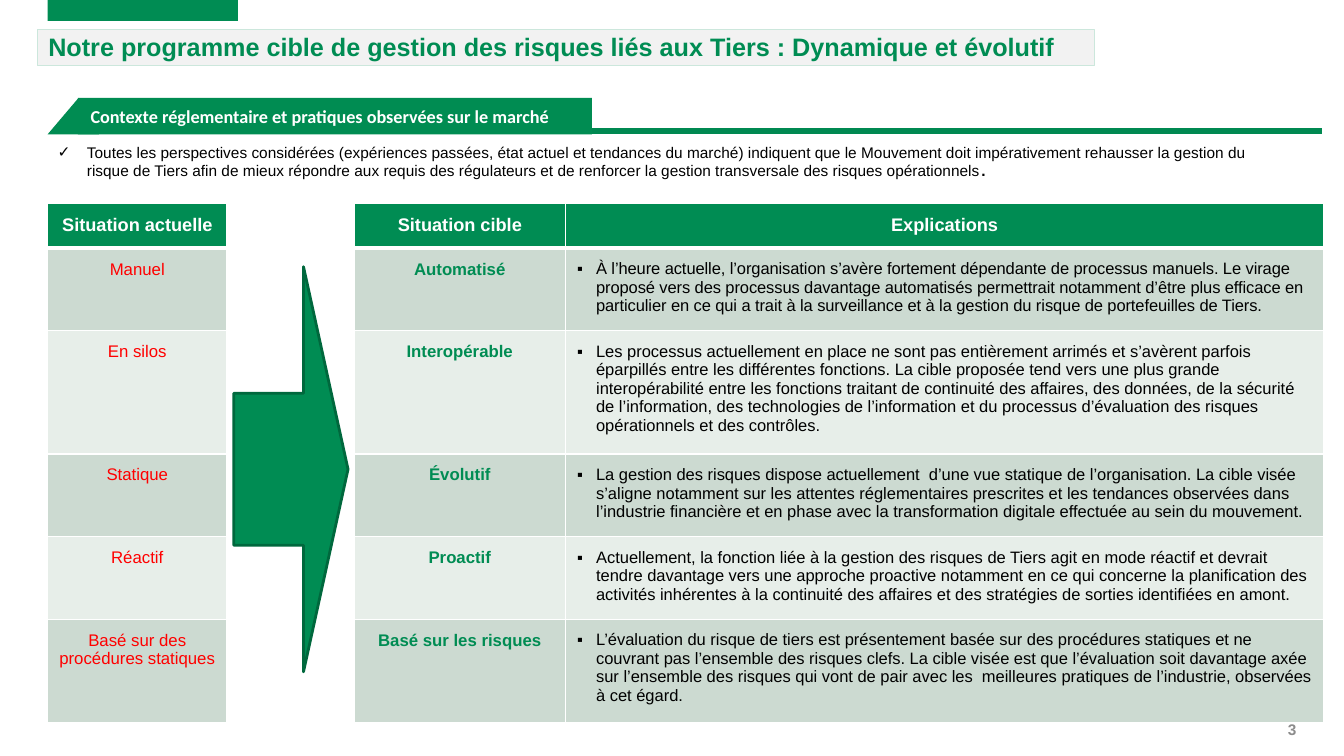
from pptx import Presentation
from pptx.dml.color import RGBColor as Rgb
from pptx.enum.shapes import MSO_CONNECTOR as Link, MSO_SHAPE as Form
from pptx.enum.text import MSO_ANCHOR as Anchor, PP_ALIGN as Align
from pptx.oxml import parse_xml
from pptx.oxml.ns import nsdecls
from pptx.util import Pt

HUES = {
    "green": "008C53", "band": "008C52", "rule": "008951", "edge": "00683D",
    "pale": "F2F2F2", "mint": "CCE7DC", "dark": "CCDAD1", "light": "E7EEE9",
    "red": "FF0000", "gray": "8C8C8C", "black": "000000", "white": "FFFFFF",
}
SIDES = ("L", "R", "T", "B")
INSETS = ("margin_left", "margin_right", "margin_top", "margin_bottom")

HEADS = ("Situation actuelle", "", "Situation cible", "Explications")
ROWS = (
    ("Manuel", "Automatisé",
     "À l’heure actuelle, l’organisation s’avère fortement dépendante de processus manuels. "
     "Le virage proposé vers des processus davantage automatisés permettrait notamment d’être "
     "plus efficace en particulier en ce qui a trait à la surveillance et à la gestion du "
     "risque de portefeuilles de Tiers."),
    ("En silos", "Interopérable",
     "Les processus actuellement en place ne sont pas entièrement arrimés et s’avèrent parfois "
     "éparpillés entre les différentes fonctions. La cible proposée tend vers une plus grande "
     "interopérabilité entre les fonctions traitant de continuité des affaires, des données, "
     "de la sécurité de l’information, des technologies de l’information et du processus "
     "d’évaluation des risques opérationnels et des contrôles."),
    ("Statique", "Évolutif",
     "La gestion des risques dispose actuellement  d’une vue statique de l’organisation. La "
     "cible visée s’aligne notamment sur les attentes réglementaires prescrites et les "
     "tendances observées dans l’industrie financière et en phase avec la transformation "
     "digitale effectuée au sein du mouvement."),
    ("Réactif", "Proactif",
     "Actuellement, la fonction liée à la gestion des risques de Tiers agit en mode réactif et "
     "devrait tendre davantage vers une approche proactive notamment en ce qui concerne la "
     "planification des activités inhérentes à la continuité des affaires et des stratégies "
     "de sorties identifiées en amont."),
    ("Basé sur des procédures statiques", "Basé sur les risques",
     "L’évaluation du risque de tiers est présentement basée sur des procédures statiques et "
     "ne couvrant pas l’ensemble des risques clefs. La cible visée est que l’évaluation soit "
     "davantage axée sur l’ensemble des risques qui vont de pair avec les  meilleures "
     "pratiques de l’industrie, observées à cet égard."),
)
CONTEXT = (
    "Toutes les perspectives considérées (expériences passées, état actuel et tendances du "
    "marché) indiquent que le Mouvement doit impérativement rehausser la gestion du risque de "
    "Tiers afin de mieux répondre aux requis des régulateurs et de renforcer la gestion "
    "transversale des risques opérationnels"
)


class Sheet:
    def __init__(self, slide):
        self.slide = slide
        self.font = {"name": "Arial", "size": Pt(12), "bold": False}

    def apply(self, item, values):
        for name, value in values.items():
            setattr(item, name, value)

    def paint(self, item, hue):
        item.fill.solid()
        item.fill.fore_color.rgb = Rgb.from_string(HUES[hue])

    def stroke(self, line, hue, width):
        line.color.rgb = Rgb.from_string(HUES[hue])
        line.width = Pt(width)

    def run(self, para, text, hue, **look):
        run = para.add_run()
        run.text = text
        self.apply(run.font, {**self.font, **look})
        run.font.color.rgb = Rgb.from_string(HUES[hue])
        return run

    def bullet(self, para, mark, indent):
        props = para._p.get_or_add_pPr()
        props.set("marL", str(Pt(indent)))
        props.set("indent", str(-Pt(indent)))
        props.append(parse_xml(f'<a:buFont {nsdecls("a")} typeface="Arial"/>'))
        props.append(parse_xml(f'<a:buChar {nsdecls("a")} char="{mark}"/>'))

    def frame(self, item, pads=(0, 0, 0, 0), anchor=Anchor.TOP, **form):
        frame = item.text_frame
        sides = dict(zip(INSETS, map(Pt, pads)))
        self.apply(frame, {"word_wrap": True, "vertical_anchor": anchor, **sides})
        para = frame.paragraphs[0]
        self.apply(para, form)
        return para

    def shape(self, form, box, hue, line=None, tweaks=()):
        item = self.slide.shapes.add_shape(form, *map(Pt, box))
        item.shadow.inherit = False
        self.paint(item, hue)
        if line:
            self.stroke(item.line, *line)
        else:
            item.line.fill.background()
        for spot, value in enumerate(tweaks):
            item.adjustments[spot] = value
        return item

    def text(self, box, **form):
        return self.frame(self.slide.shapes.add_textbox(*map(Pt, box)), **form)

    def rule(self, start, end, hue, width):
        item = self.slide.shapes.add_connector(Link.STRAIGHT, *map(Pt, start + end))
        self.stroke(item.line, hue, width)
        item._element.spPr.append(parse_xml(f'<a:effectLst {nsdecls("a")}/>'))

    def cell(self, cell, hue, base=1):
        props = cell._tc.get_or_add_tcPr()
        for side in SIDES:
            width = Pt(base if side == "B" else 1)
            props.append(parse_xml(
                f'<a:ln{side} {nsdecls("a")} w="{width}"><a:solidFill>'
                f'<a:srgbClr val="{HUES["white"]}"/></a:solidFill></a:ln{side}>'))
        self.paint(cell, hue)
        self.apply(cell, dict.fromkeys(INSETS, Pt(8.3)))
        return cell.text_frame.paragraphs[0]

    def table(self, box, widths, heights):
        shape = self.slide.shapes.add_table(len(heights), len(widths), *map(Pt, box))
        grid = shape.table
        self.apply(grid, {"first_row": False, "horz_banding": False})
        for col, width in zip(grid.columns, widths):
            col.width = Pt(width)
        for row, height in zip(grid.rows, heights):
            row.height = Pt(height)
        for spot, head in enumerate(HEADS):
            para = self.cell(grid.cell(0, spot), "green" if head else "white", 3)
            if head:
                para.alignment = Align.CENTER
                self.run(para, head, "white", size=Pt(13), bold=True)
        for at, (now, goal, why) in enumerate(ROWS, 1):
            hue = "dark" if at % 2 else "light"
            left, gap, mid, right = (
                self.cell(grid.cell(at, spot), hue if head else "white")
                for spot, head in enumerate(HEADS))
            left.alignment = mid.alignment = Align.CENTER
            self.run(left, now, "red")
            self.run(mid, goal, "green", bold=True)
            self.bullet(right, "▪", 13.5)
            note = self.run(right, why, "black", size=Pt(11.8))
            if at == 1:
                note.font._element.set("spc", "-5")
        grid.cell(0, 1).merge(grid.cell(len(ROWS), 1))


def main():
    deck = Presentation()
    deck.slide_width, deck.slide_height = Pt(960), Pt(540)
    sheet = Sheet(deck.slides.add_slide(deck.slide_layouts[6]))

    sheet.shape(Form.RECTANGLE, (34, 0, 136, 15), "green")
    sheet.shape(Form.RECTANGLE, (26.6, 21.3, 755.3, 25.5), "pale", ("mint", 0.5))
    title = sheet.text((34.5, 24.5, 862, 24.5), line_spacing=0.9)
    sheet.run(title, "Notre programme cible de gestion des risques liés aux Tiers : "
              "Dynamique et évolutif", "green", size=Pt(18), bold=True)

    sheet.rule((57, 93.6), (944, 93.6), "rule", 4.5)
    sheet.shape(Form.ISOSCELES_TRIANGLE, (34, 70.5, 36.7, 25.5), "band", tweaks=(0.59,))
    band = sheet.shape(Form.RECTANGLE, (55.7, 70, 367.2, 26), "band")
    para = sheet.frame(band, (9, 0, 0, 0), Anchor.MIDDLE, alignment=Align.LEFT)
    sheet.run(para, "Contexte réglementaire et pratiques observées sur le marché",
              "white", name="Calibri", size=Pt(13), bold=True)

    para = sheet.text((34, 98.6, 891.4, 34), pads=(7.2, 7.2, 3.6, 3.6), space_before=Pt(6))
    sheet.bullet(para, "✓", 21)
    sheet.run(para, CONTEXT, "black", size=Pt(11))
    sheet.run(para, ".", "black", size=Pt(11), bold=True)

    sheet.table((34, 145, 911.5, 370.5), (128.2, 90.7, 151.2, 541.4),
                (32.3, 58.7, 88, 59, 59, 73.5))
    sheet.shape(Form.RIGHT_ARROW, (167, 190.5, 81.6, 289.4), "green", ("edge", 2),
                (0.375, 0.39))

    page = sheet.text((865.5, 502.5, 60.5, 37.5), anchor=Anchor.MIDDLE, alignment=Align.RIGHT)
    sheet.run(page, "3", "gray", size=Pt(11), bold=True)
    deck.save("out.pptx")


if __name__ == "__main__":
    main()
